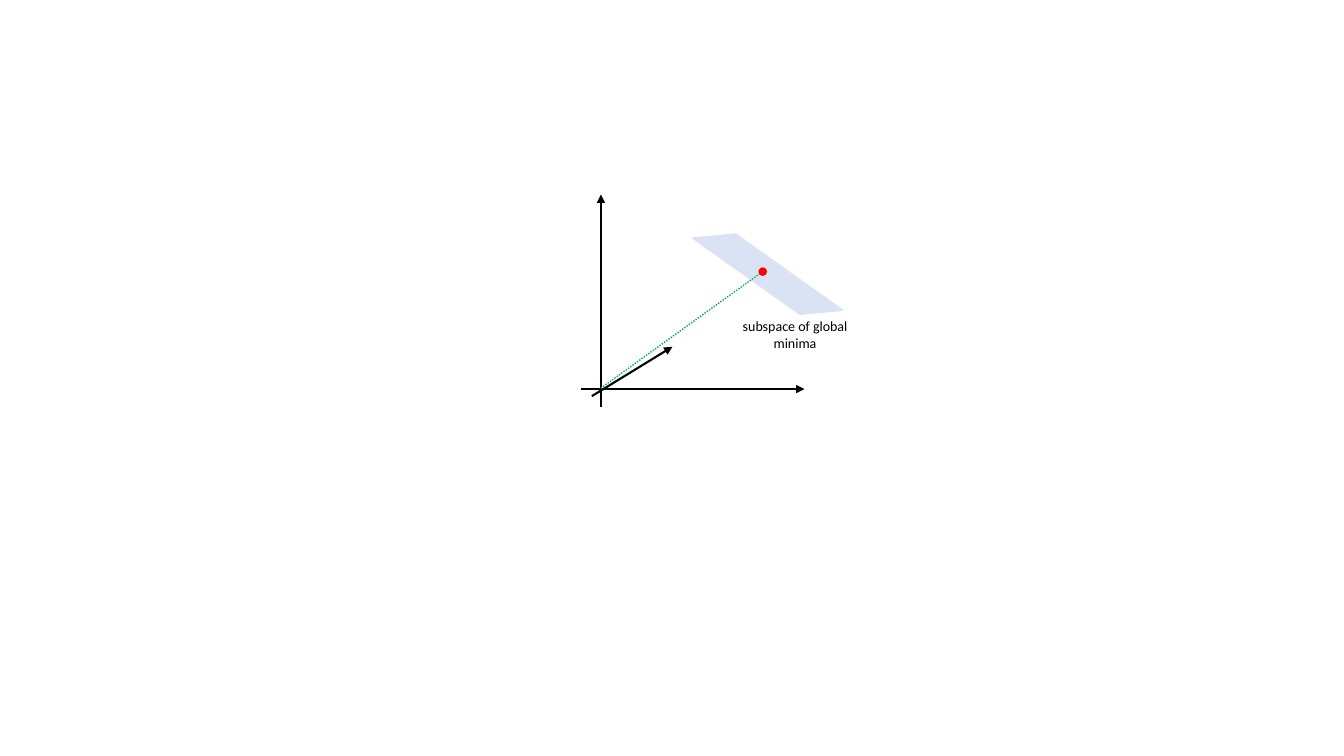
"""Build a slide sketching a subspace of global minima in three axes."""
import pptx
import pptx.util
import pptx.dml.color
import pptx.enum.dml
import pptx.enum.shapes
import pptx.enum.text
import pptx.oxml.ns
import lxml.etree

Inches = pptx.util.Inches
Pt = pptx.util.Pt
SHAPE = pptx.enum.shapes.MSO_SHAPE
COLORS = {"axis": "000000", "plane": "DAE3F3", "path": "00B050",
          "minimum": "FF0000", "text": "000000"}
AXES = [((5.96, 4.04), (5.96, 1.93)),
        ((5.76, 3.86), (7.98, 3.86)),
        ((5.87, 3.93), (6.67, 3.44))]


def rgb(name):
    return pptx.dml.color.RGBColor.from_string(COLORS[name])


def add_line(s, start, end, color, width, dash=None, arrow=False):
    ends = [Inches(v) for v in (*start, *end)]
    c = s.shapes.add_connector(pptx.enum.shapes.MSO_CONNECTOR.STRAIGHT, *ends)
    c.line.color.rgb = rgb(color)
    c.line.width = Pt(width)
    if dash is not None:
        c.line.dash_style = dash
    qn = pptx.oxml.ns.qn
    if arrow:
        ln = c.line._get_or_add_ln()
        lxml.etree.SubElement(ln, qn("a:tailEnd")).set("type", "triangle")
    lxml.etree.SubElement(c._element.spPr, qn("a:effectLst"))


def add_filled(s, kind, box, color, rotation=0):
    sp = s.shapes.add_shape(kind, *[Inches(v) for v in box])
    sp.shadow.inherit = False
    sp.rotation = rotation
    sp.fill.solid()
    sp.fill.fore_color.rgb = rgb(color)
    sp.line.color.rgb = rgb(color)
    sp.line.width = Pt(1)


def add_label(s, box, text):
    tf = s.shapes.add_textbox(*[Inches(v) for v in box]).text_frame
    tf.word_wrap = True
    tf.auto_size = pptx.enum.text.MSO_AUTO_SIZE.SHAPE_TO_FIT_TEXT
    p = tf.paragraphs[0]
    p.text = text
    p.alignment = pptx.enum.text.PP_ALIGN.CENTER
    p.font.name = "Calibri"
    p.font.size = Pt(10)
    p.font.color.rgb = rgb("text")


def main():
    prs = pptx.Presentation()
    prs.slide_width = Inches(13.33)
    prs.slide_height = Inches(7.5)
    s = prs.slides.add_slide(prs.slide_layouts[6])
    for start, end in AXES:
        add_line(s, start, end, "axis", 1.5, arrow=True)
    add_filled(s, SHAPE.FLOWCHART_DATA, (6.8, 2.58, 1.63, 0.28), "plane", 35.4)
    add_line(s, (5.96, 3.85), (7.57, 2.69), "path", 1,
             dash=pptx.enum.dml.MSO_LINE.ROUND_DOT)
    add_filled(s, SHAPE.OVAL, (7.53, 2.66, 0.07, 0.07), "minimum")
    add_label(s, (7.26, 3.1, 1.25, 0.44), "subspace of global minima")
    prs.save("out.pptx")


if __name__ == "__main__":
    main()
